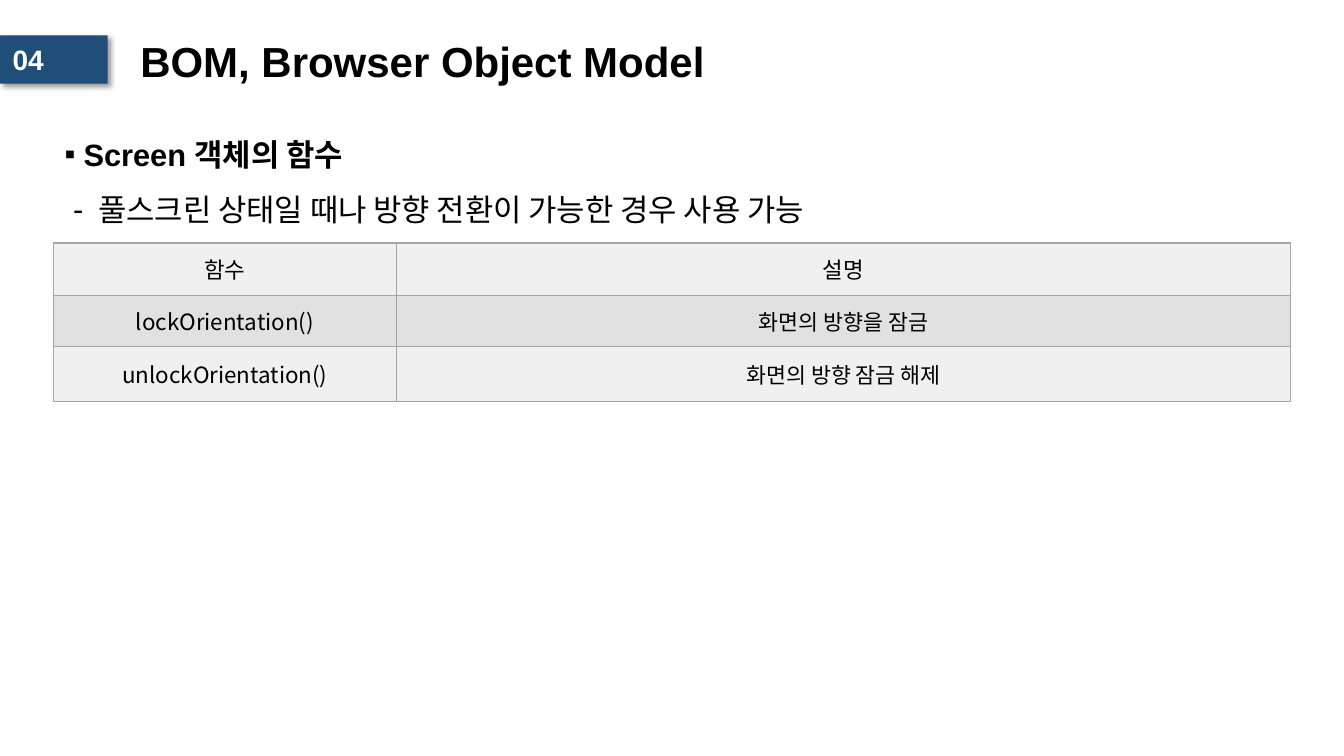
from lxml.etree import SubElement
from pptx import Presentation
from pptx.dml.color import RGBColor
from pptx.enum.shapes import MSO_SHAPE
from pptx.enum.text import MSO_ANCHOR, MSO_AUTO_SIZE, PP_ALIGN
from pptx.oxml.ns import qn
from pptx.util import Pt

BLACK = RGBColor(0x00, 0x00, 0x00)
WHITE = RGBColor(0xFF, 0xFF, 0xFF)
NAVY = RGBColor(0x1F, 0x4E, 0x79)
LIGHT_GRAY = RGBColor(0xF0, 0xF0, 0xF0)
MID_GRAY = RGBColor(0xE1, 0xE1, 0xE1)
BORDER_GRAY = RGBColor(0xA5, 0xA5, 0xA5)

LATIN = "Arial"
KOREAN = "Noto Sans CJK KR"


def add_xml(parent, tag, **attributes):
    return SubElement(parent, qn(tag), {key: str(value) for key, value in attributes.items()})


class SlideBuilder:
    """Holds the fonts and the current slide."""

    def __init__(self, slide, latin, korean):
        self.slide = slide
        self.latin = latin
        self.korean = korean

    def place(self, shape, left, top, width, height):
        shape.left, shape.top = Pt(left), Pt(top)
        shape.width, shape.height = Pt(width), Pt(height)

    def style(self, paragraph, size, color=BLACK, bold=False, font=None):
        for run in paragraph.runs:
            run.font.size = Pt(size)
            run.font.bold = bold
            run.font.color.rgb = color
            run.font.name = font or self.latin
            add_xml(run.font._element, "a:ea", typeface=self.korean)

    def title(self, text, box, size):
        heading = self.slide.shapes.title
        self.place(heading, *box)
        frame = heading.text_frame
        frame.text = text
        frame.vertical_anchor = MSO_ANCHOR.MIDDLE
        frame.auto_size = MSO_AUTO_SIZE.NONE
        paragraph = frame.paragraphs[0]
        paragraph.alignment = PP_ALIGN.LEFT
        paragraph.line_spacing = 0.9
        self.style(paragraph, size, bold=True)

    def number_tab(self, text, box, size):
        tab = self.slide.shapes.add_shape(MSO_SHAPE.RECTANGLE, *map(Pt, box))
        tab.fill.solid()
        tab.fill.fore_color.rgb = NAVY
        tab.line.fill.background()
        # Soft shadow to the lower right
        tab.shadow.inherit = False
        effects = tab._element.spPr.find(qn("a:effectLst"))
        shadow = add_xml(effects, "a:outerShdw", blurRad=Pt(4), dist=Pt(3),
                         dir=45 * 60000, algn="tl", rotWithShape=0)
        shade = add_xml(shadow, "a:srgbClr", val=BLACK)
        add_xml(shade, "a:alpha", val=40000)
        frame = tab.text_frame
        frame.text = text
        frame.margin_left = Pt(9)
        frame.vertical_anchor = MSO_ANCHOR.MIDDLE
        frame.paragraphs[0].alignment = PP_ALIGN.LEFT
        self.style(frame.paragraphs[0], size, WHITE, bold=True)

    def bullet_list(self, items, box, size):
        body = self.slide.placeholders[1]
        self.place(body, *box)
        frame = body.text_frame
        frame.text = "\n".join(text for text, *_ in items)
        frame.auto_size = MSO_AUTO_SIZE.SHAPE_TO_FIT_TEXT
        for paragraph, (_, mark, margin, hanging, bold) in zip(frame.paragraphs, items):
            paragraph.line_spacing = 1.5
            paragraph.space_before = Pt(0)
            properties = paragraph._p.get_or_add_pPr()
            properties.set("marL", str(Pt(margin)))
            properties.set("indent", str(-Pt(hanging)))
            add_xml(properties, "a:buFont", typeface=self.latin)
            add_xml(properties, "a:buChar", char=mark)
            self.style(paragraph, size, bold=bold)

    def table(self, rows, left, top, widths, heights, sizes):
        grid = self.slide.shapes.add_table(
            len(rows), len(widths), Pt(left), Pt(top),
            Pt(sum(widths)), Pt(sum(heights))).table
        for column, width in zip(grid.columns, widths):
            column.width = Pt(width)
        for r, (row, height) in enumerate(zip(rows, heights)):
            grid.rows[r].height = Pt(height)
            for c, text in enumerate(row):
                size = sizes[c] if r else sizes[0]
                self.cell(grid.cell(r, c), text, MID_GRAY if r % 2 else LIGHT_GRAY, size)

    def cell(self, cell, text, fill, size):
        cell.text = text
        cell.vertical_anchor = MSO_ANCHOR.MIDDLE
        paragraph = cell.text_frame.paragraphs[0]
        paragraph.alignment = PP_ALIGN.CENTER
        self.style(paragraph, size, font=self.korean)
        # Borders come before the fill in the cell properties
        properties = cell._tc.get_or_add_tcPr()
        for side in ("a:lnL", "a:lnR", "a:lnT", "a:lnB"):
            line = add_xml(properties, side, w=Pt(1))
            add_xml(add_xml(line, "a:solidFill"), "a:srgbClr", val=BORDER_GRAY)
        cell.fill.solid()
        cell.fill.fore_color.rgb = fill


def main():
    deck = Presentation()
    deck.slide_width, deck.slide_height = Pt(960), Pt(540)
    screen = SlideBuilder(deck.slides.add_slide(deck.slide_layouts[1]), LATIN, KOREAN)

    # Header
    screen.title("BOM, Browser Object Model", (93, 21, 649.5, 49.5), 30)
    screen.number_tab("04", (0, 25.2, 77, 34.5), 20)

    # Topic: text, mark, margin, hanging indent, bold
    screen.bullet_list([
        ("Screen 객체의 함수", "▪", 13.5, 13.5, True),
        ("풀스크린 상태일 때나 방향 전환이 가능한 경우 사용 가능", "-", 24, 18, False),
    ], (39, 80, 874, 84), 22)

    # Functions of the Screen object
    functions = [
        ("함수", "설명"),
        ("lockOrientation()", "화면의 방향을 잠금"),
        ("unlockOrientation()", "화면의 방향 잠금 해제"),
    ]
    screen.table(functions, 38.2, 173.5, (245, 638.5), (37.5, 36.5, 39.5), (16, 15.5))

    deck.save("out.pptx")


if __name__ == "__main__":
    main()
